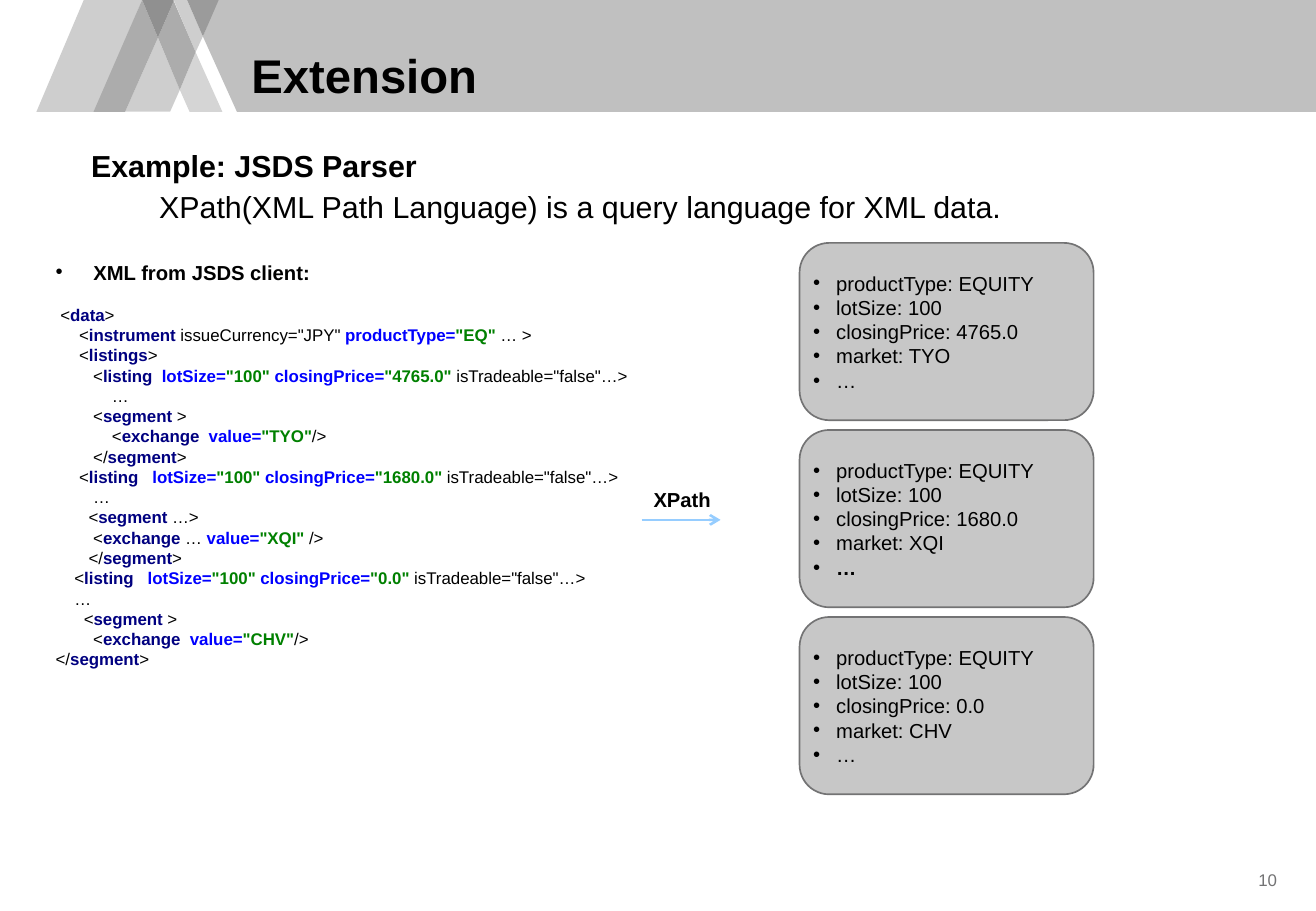
from dataclasses import dataclass
from pptx import Presentation
from pptx import util as u
from pptx.dml.color import RGBColor
from pptx.enum import shapes, text
from pptx.oxml import parse_xml
from pptx.oxml.ns import nsdecls, qn


@dataclass(frozen=True)
class Theme:
    font: str = "Arial"
    ink: str = "000000"
    gray: str = "737374"
    card: str = "C7C7C7"
    arrow: str = "96CDFF"
    tag: str = "000080"
    name: str = "0000FF"
    value: str = "008000"
    title: int = 28
    body: int = 18
    item: int = 12
    code: int = 10


T = Theme()
MARKS = {"#": T.tag, "@": T.name, "$": T.value}
SPACE = 0.0386

STRIPES = [
    ("C0C0C0", [(1.67, 0.3), (1.95, 0.92), (10.83, 0.92), (10.83, 0), (1.79, 0)]),
    ("D5D5D5", [(1.61, 0.43), (1.48, 0.74), (1.56, 0.92), (1.83, 0.92)]),
    ("CECECE", [(1.54, 0), (1.43, 0), (1.61, 0.43), (1.67, 0.3)]),
    ("CECECE", [(1.3, 0.31), (1.03, 0.92), (1.4, 0.92), (1.48, 0.74)]),
    ("CECECE", [(1.17, 0), (0.69, 0), (0.3, 0.92), (0.78, 0.92)]),
    ("9B9B9B", [(1.8, 0), (1.54, 0), (1.67, 0.3)]),
    ("ACACAC", [(1.43, 0.01), (1.3, 0.31), (1.48, 0.74), (1.61, 0.43)]),
    ("ACACAC", [(1.17, 0), (0.77, 0.92), (1.03, 0.92), (1.3, 0.31)]),
    ("909090", [(1.43, 0), (1.17, 0), (1.3, 0.31), (1.43, 0.01)]),
]

CODE = [
    (1, '<|#data|>'),
    (5, '<|#instrument |issueCurrency="JPY" |@productType=|$"EQ" |… >'),
    (5, '<|#listings|>'),
    (8, '<|#listing  |@lotSize=|$"100" |@closingPrice=|$"4765.0" |isTradeable="false"…>'),
    (12, '…'),
    (8, '<|#segment |>'),
    (12, '<|#exchange  |@value=|$"TYO"|/>'),
    (8, '</|#segment|>'),
    (5, '<|#listing   |@lotSize=|$"100" |@closingPrice=|$"1680.0" |isTradeable="false"…>'),
    (8, '…'),
    (7, '<|#segment |…>'),
    (8, '<|#exchange |… |@value=|$"XQI" |/>'),
    (7, '</|#segment|>'),
    (4, '<|#listing   |@lotSize=|$"100" |@closingPrice=|$"0.0" |isTradeable="false"…>'),
    (4, '…'),
    (6, '<|#segment |>'),
    (8, '<|#exchange  |@value=|$"CHV"|/>'),
    (0, '</|#segment|>'),
]

CARDS = [("4765.0", "TYO", False), ("1680.0", "XQI", True), ("0.0", "CHV", False)]


def write(frame, line, size=T.item, color=T.ink, bold=False, align=None,
          bullet=False, indent=0, space=None, before=0):
    para = frame.paragraphs[0]
    if para.runs:
        para = frame.add_paragraph()
    para.alignment = align or text.PP_ALIGN.LEFT
    para.space_before = u.Pt(before)
    if space:
        para.line_spacing = space
    props = para._p.get_or_add_pPr()
    props.set("marL", str(u.Inches(indent)))
    if bullet:
        props.set("indent", str(-u.Inches(indent)))
        props.append(parse_xml(f'<a:buFont {nsdecls("a")} typeface="Arial"/>'))
        props.append(parse_xml(f'<a:buChar {nsdecls("a")} char="•"/>'))
    for part in line.split("|"):
        mark = MARKS.get(part[0])
        run = para.add_run()
        run.text = part[1:] if mark else part
        font = run.font
        font.name, font.size = T.font, u.Pt(size)
        font.bold = bold or bool(mark)
        font.color.rgb = RGBColor.from_string(mark or color)


def inset(frame, *sides):
    (frame.margin_left, frame.margin_top,
     frame.margin_right, frame.margin_bottom) = map(u.Inches, sides)


def box(slide, *place, pad=(0, 0, 0, 0), anchor=text.MSO_ANCHOR.TOP):
    frame = slide.shapes.add_textbox(*map(u.Inches, place)).text_frame
    frame.word_wrap = True
    frame.vertical_anchor = anchor
    inset(frame, *pad)
    return frame


def paint(shape, fill, line=None):
    shape.shadow.inherit = False
    shape.fill.solid()
    shape.fill.fore_color.rgb = RGBColor.from_string(fill)
    if line:
        shape.line.color.rgb = RGBColor.from_string(line)
        shape.line.width = u.Pt(1)
    else:
        shape.line.fill.background()


def stripe(slide, fill, points):
    spots = [(u.Inches(x), u.Inches(y)) for x, y in points]
    path = slide.shapes.build_freeform(*spots[0], scale=1.0)
    path.add_line_segments(spots[1:], close=True)
    paint(path.convert_to_shape(), fill)


def arrow(slide, *ends):
    line = slide.shapes.add_connector(
        shapes.MSO_CONNECTOR.STRAIGHT, *map(u.Inches, ends))
    line.line.color.rgb = RGBColor.from_string(T.arrow)
    line.line.width = u.Pt(1.5)
    props = line._element.spPr
    props.find(qn("a:ln")).append(
        parse_xml(f'<a:tailEnd {nsdecls("a")} type="arrow"/>'))
    props.append(parse_xml(f'<a:effectLst {nsdecls("a")}/>'))


def card(slide, top, price, market, strong):
    shape = slide.shapes.add_shape(
        shapes.MSO_SHAPE.ROUNDED_RECTANGLE,
        *map(u.Inches, (6.58, top, 2.42, 1.46)))
    paint(shape, T.card, T.gray)
    frame = shape.text_frame
    frame.word_wrap = False
    frame.vertical_anchor = text.MSO_ANCHOR.MIDDLE
    inset(frame, 0.04, 0.04, 0.04, 0.04)
    for line in ("productType: EQUITY", "lotSize: 100",
                 f"closingPrice: {price}", f"market: {market}"):
        write(frame, line, bullet=True, indent=0.19)
    write(frame, "…", bold=strong, bullet=True, indent=0.19)


def main():
    deck = Presentation()
    deck.slide_width, deck.slide_height = u.Inches(10.83), u.Inches(7.5)
    slide = deck.slides.add_slide(deck.slide_layouts[6])

    for fill, points in STRIPES:
        stripe(slide, fill, points)
    title = box(slide, 2.07, 0.06, 6.93, 0.79, anchor=text.MSO_ANCHOR.BOTTOM)
    write(title, "Extension", size=T.title, bold=True, space=1.2)

    intro = box(slide, 0.75, 1.17, 10.24, 0.63)
    write(intro, "Example: JSDS Parser", size=T.body, bold=True, space=1.13)
    write(intro, "XPath(XML Path Language) is a query language for XML data.",
          size=T.body, indent=0.56, space=1.13)

    code = box(slide, 0.36, 2.09, 4.92, 3.67, pad=(0.1, 0.05, 0.1, 0.05))
    write(code, "XML from JSDS client:", bold=True, bullet=True, indent=0.31)
    for row, (depth, line) in enumerate(CODE):
        write(code, line, size=T.code, indent=depth * SPACE,
              before=0 if row else 12)

    label = box(slide, 5.28, 3.96, 0.83, 0.3, pad=(0.1, 0.05, 0.1, 0.05))
    write(label, "XPath", bold=True)
    arrow(slide, 5.28, 4.28, 5.93, 4.28)

    for row, data in enumerate(CARDS):
        card(slide, 2 + row * 1.54, *data)

    page = box(slide, 9.66, 7.13, 0.87, 0.25, pad=(0, 0, 0.02, 0.02),
               anchor=text.MSO_ANCHOR.MIDDLE)
    write(page, "10", size=T.code, color=T.gray, align=text.PP_ALIGN.RIGHT)
    deck.save("out.pptx")


main()
